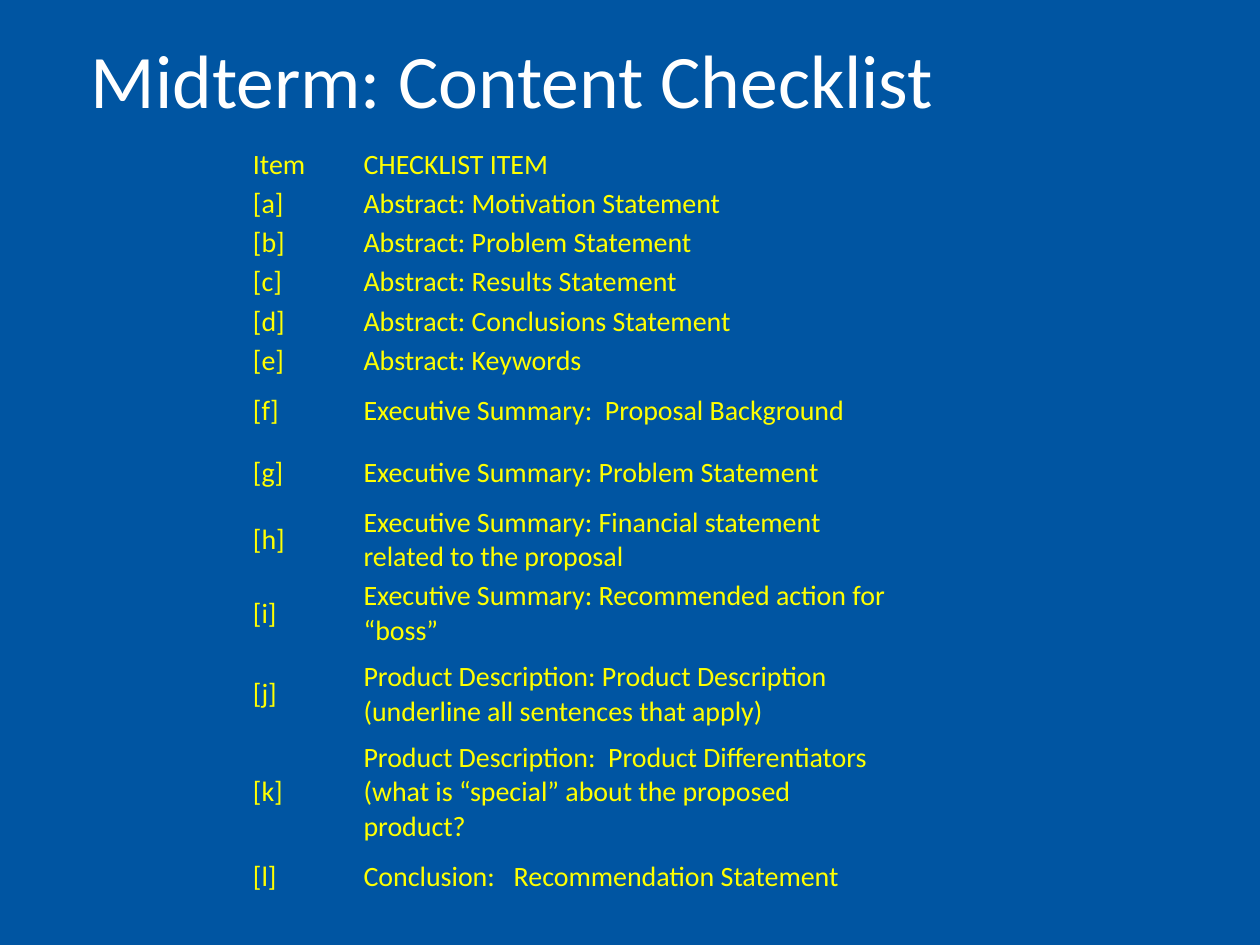
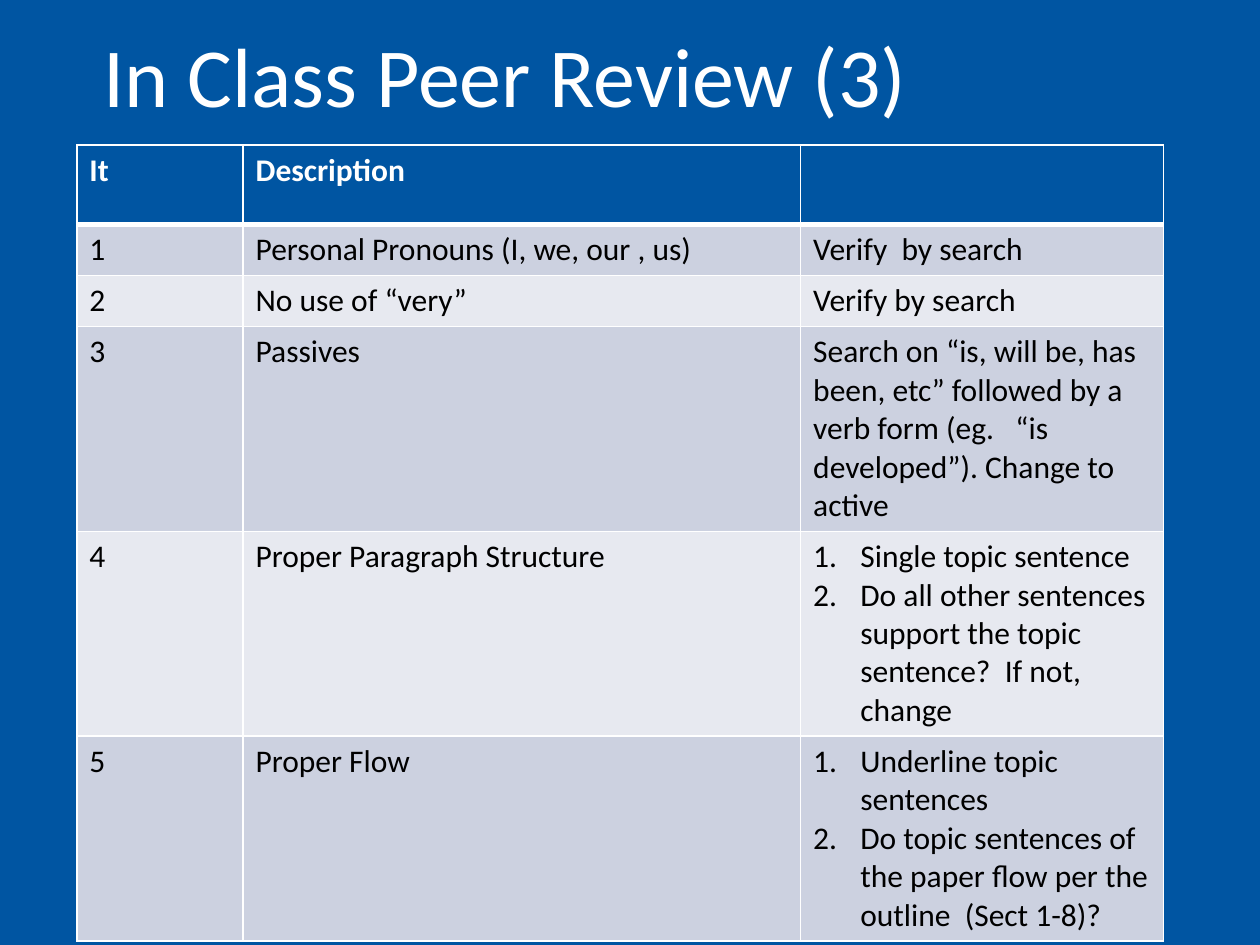
from lxml import etree
from pptx import Presentation
from pptx.dml.color import RGBColor
from pptx.enum.text import MSO_ANCHOR, MSO_AUTO_SIZE, PP_ALIGN
from pptx.oxml.ns import qn
from pptx.util import Cm, Pt

LEFT = PP_ALIGN.LEFT
MIDDLE = MSO_ANCHOR.MIDDLE
TOP = MSO_ANCHOR.TOP
NO_AUTOFIT = MSO_AUTO_SIZE.NONE

BLUE = RGBColor(0x00, 0x55, 0xA2)
WHITE = RGBColor(0xFF, 0xFF, 0xFF)
BLACK = RGBColor(0x00, 0x00, 0x00)
YELLOW = RGBColor(0xFF, 0xFF, 0x00)
BAND_DARK = RGBColor(0xCC, 0xD1, 0xE0)
BAND_LIGHT = RGBColor(0xE7, 0xE9, 0xF0)

FONT = "Calibri"
TITLE_ONLY = 5
PLAIN_TABLE_STYLE = "{2D5ABB26-0587-4C30-8999-92F81FD0307C}"
THIN, THICK = Pt(1), Pt(3)
NUMBER_INDENT = Cm(0.95)

CHECKLIST = [
    "Abstract: Motivation Statement",
    "Abstract: Problem Statement",
    "Abstract: Results Statement",
    "Abstract: Conclusions Statement",
    "Abstract: Keywords",
    "Executive Summary:  Proposal Background",
    "Executive Summary: Problem Statement",
    "Executive Summary: Financial statement related to the proposal",
    "Executive Summary: Recommended action for “boss”",
    "Product Description: Product Description (underline all sentences that apply)",
    "Product Description:  Product Differentiators (what is “special” about the proposed product?",
    "Conclusion:   Recommendation Statement",
]

# A list in the last column becomes a numbered list.
REVIEW = [
    ("Personal Pronouns (I, we, our , us)", "Verify  by search"),
    ("No use of “very”", "Verify by search"),
    ("Passives", "Search on “is, will be, has been, etc” followed by a verb form "
                 "(eg.   “is developed”). Change to active"),
    ("Proper Paragraph Structure", [
        "Single topic sentence",
        "Do all other sentences support the topic sentence?  If not, change"]),
    ("Proper Flow", [
        "Underline topic sentences",
        "Do topic sentences of the paper flow per the outline  (Sect 1-8)?"]),
]


def style_font(font, size, color, bold=False):
    font.name = FONT
    font.size = Pt(size)
    font.bold = bold
    font.color.rgb = color


def add_titled_slide(prs, title, size, left, top):
    slide = prs.slides.add_slide(prs.slide_layouts[TITLE_ONLY])
    heading = slide.shapes.title
    heading.left, heading.top = left, top
    heading.width, heading.height = Cm(21.9), Cm(2.46)
    frame = heading.text_frame
    frame.text = title
    frame.auto_size = NO_AUTOFIT
    frame.vertical_anchor = MIDDLE
    line = frame.paragraphs[0]
    line.alignment = LEFT
    line.line_spacing = 0.9
    style_font(line.runs[0].font, size, WHITE)
    return slide


def add_plain_table(slide, left, top, widths, heights):
    """Add a table without style, sized by its columns and rows."""
    table = slide.shapes.add_table(len(heights), len(widths), left, top,
                                   sum(widths), sum(heights)).table
    table.first_row = table.horz_banding = False
    table._tbl.tblPr.find(qn("a:tableStyleId")).text = PLAIN_TABLE_STYLE
    for column, width in zip(table.columns, widths):
        column.width = width
    for row, height in zip(table.rows, heights):
        row.height = height
    return table


def number_paragraph(paragraph):
    props = paragraph._p.get_or_add_pPr()
    props.set("marL", str(NUMBER_INDENT))
    props.set("indent", str(-NUMBER_INDENT))
    etree.SubElement(props, qn("a:buFont"), typeface="+mj-lt")
    etree.SubElement(props, qn("a:buAutoNum"), type="arabicPeriod")


def write_cell(cell, content, size, color, bold=False):
    numbered = isinstance(content, list)
    cell.text_frame.text = "\n".join(content) if numbered else content
    for paragraph in cell.text_frame.paragraphs:
        if numbered:
            number_paragraph(paragraph)
        for run in paragraph.runs:
            style_font(run.font, size, color, bold)


def border_cell(cell, top, bottom):
    """Draw white cell borders; call before filling the cell."""
    props = cell._tc.get_or_add_tcPr()
    for side, width in (("L", THIN), ("R", THIN), ("T", top), ("B", bottom)):
        line = etree.SubElement(props, qn(f"a:ln{side}"), w=str(width))
        fill = etree.SubElement(line, qn("a:solidFill"))
        etree.SubElement(fill, qn("a:srgbClr"), val=str(WHITE))


def add_checklist(slide, left, top):
    rows = [("Item", "CHECKLIST ITEM")]
    rows += [(f"[{letter}]", item) for letter, item in zip("abcdefghijkl", CHECKLIST)]
    heights = [Cm(0.71)] * 6 + [Cm(1.24)] * 4 + [Cm(1.78)] * 2 + [Cm(1.24)]
    table = add_plain_table(slide, left, top, [Cm(2.23), Cm(10.79)], heights)
    for r, row in enumerate(rows):
        for c, content in enumerate(row):
            cell = table.cell(r, c)
            cell.margin_left = cell.margin_right = Cm(0.1)
            cell.margin_top = cell.margin_bottom = Cm(0.05)
            cell.vertical_anchor = MIDDLE
            cell.fill.background()
            write_cell(cell, content, 16, YELLOW)


def add_review_table(slide, left, top):
    rows = [("It", "Description", "")]
    rows += [(str(n), *entry) for n, entry in enumerate(REVIEW, 1)]
    heights = [Cm(1.6)] + [Cm(1.03)] * len(REVIEW)
    table = add_plain_table(slide, left, top, [Cm(3.35), Cm(11.24), Cm(7.31)], heights)
    table.first_row = True
    for r, row in enumerate(rows):
        header = r == 0
        band = BLUE if header else BAND_DARK if r % 2 else BAND_LIGHT
        for c, content in enumerate(row):
            cell = table.cell(r, c)
            border_cell(cell, THICK if r == 1 else THIN, THICK if header else THIN)
            cell.fill.solid()
            cell.fill.fore_color.rgb = band
            cell.vertical_anchor = TOP
            write_cell(cell, content, 18, WHITE if header else BLACK, header)


def main():
    prs = Presentation()
    prs.slide_width, prs.slide_height = Cm(25.4), Cm(19.05)
    backdrop = prs.slide_master.background.fill
    backdrop.solid()
    backdrop.fore_color.rgb = BLUE

    midterm = add_titled_slide(prs, "Midterm: Content Checklist", 43.2, Cm(1.57), Cm(0.46))
    add_checklist(midterm, Cm(5), Cm(2.92))

    peer_review = add_titled_slide(prs, "In Class Peer Review (3)", 48, Cm(1.83), Cm(0.38))
    add_review_table(peer_review, Cm(1.55), Cm(2.92))

    prs.save("out.pptx")


if __name__ == "__main__":
    main()
